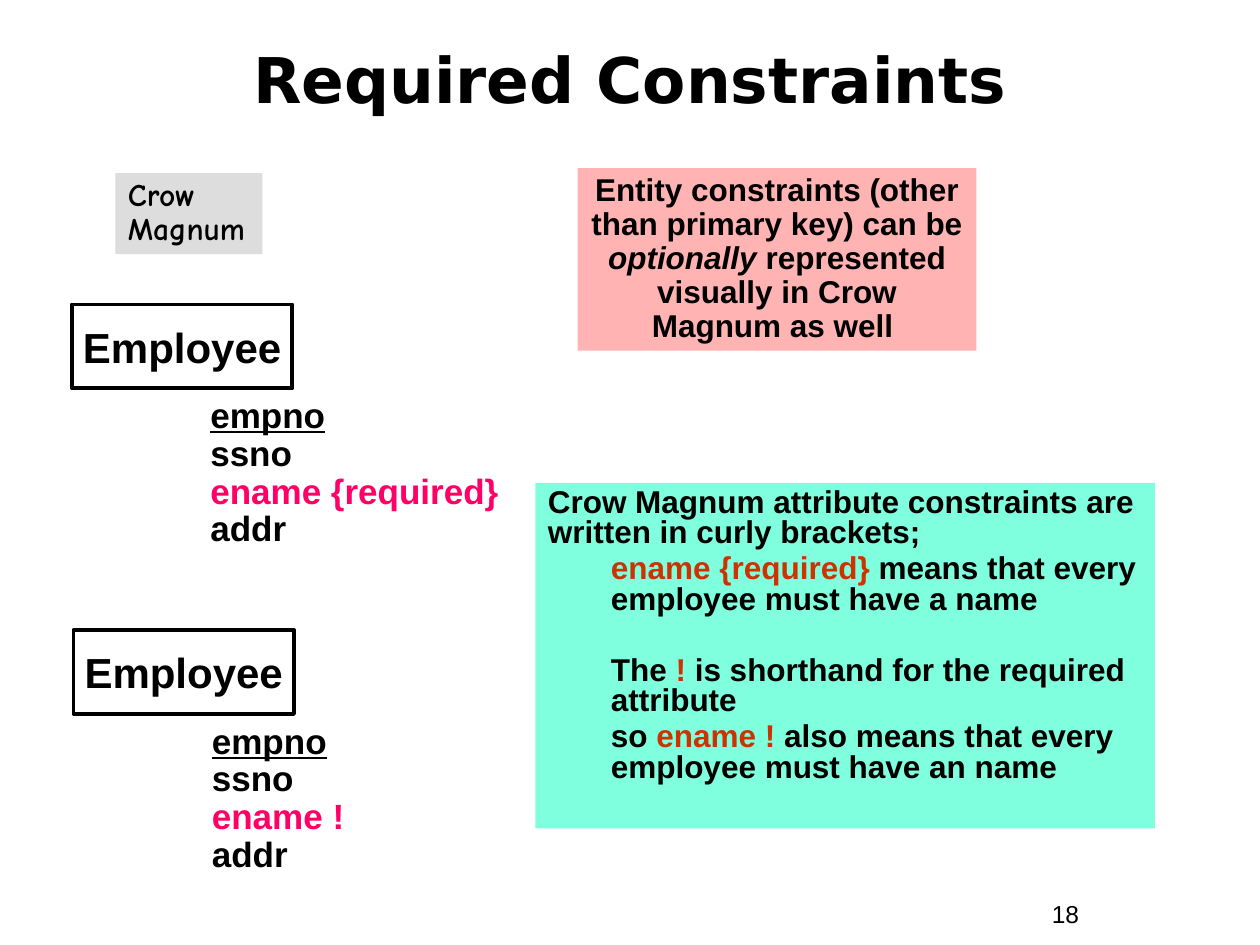
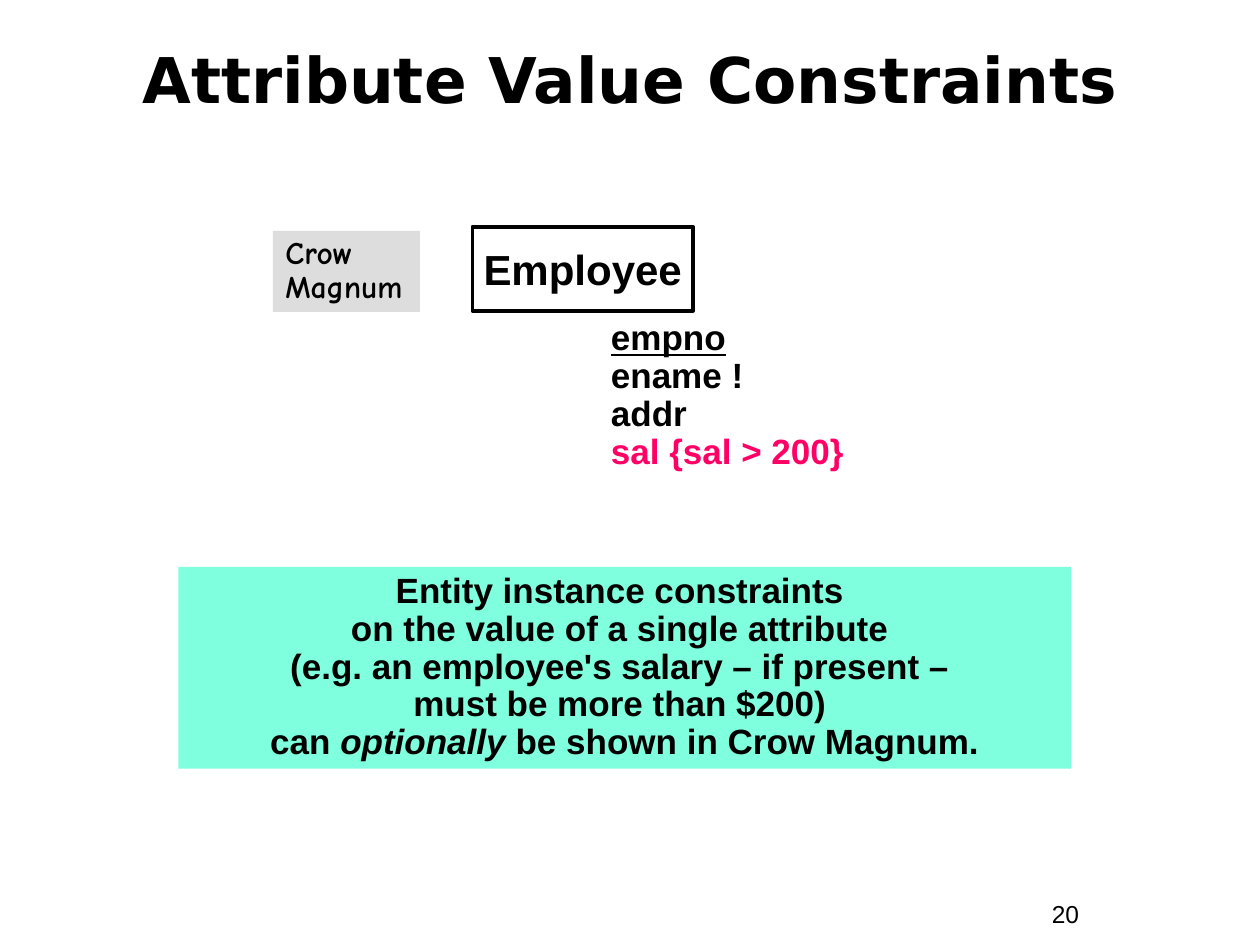
from dataclasses import dataclass
from pptx import Presentation
from pptx.dml.color import RGBColor
from pptx.enum.shapes import MSO_SHAPE
from pptx.enum.text import MSO_ANCHOR, MSO_AUTO_SIZE, PP_ALIGN
from pptx.util import Inches, Pt


@dataclass(frozen=True)
class Theme:
    ink: str = "000000"
    highlight: str = "FF0066"
    keyword: str = "CC3300"
    mint: str = "7FFFDD"
    pink: str = "FFB3B3"
    grey: str = "DDDDDD"
    title_font: str = "DejaVu Sans"
    body_font: str = "Arial"
    tag_font: str = "Comic Neue"
    title_size: int = 36
    entity_size: int = 24
    attribute_size: int = 20
    note_size: int = 18
    number_size: int = 14
    border: float = 2.25


THEME = Theme()
PAGE_WIDTH, PAGE_HEIGHT = Inches(10), Inches(7.5)
UNIT = PAGE_WIDTH / 120  # grid of 120 columns by 90 rows

# Run styles
KEY = {"underline": True}
HOT = {"color": THEME.highlight}
CODE = {"color": THEME.keyword}
ITALIC = {"italic": True}

# Content: a paragraph is a list of (text, style) runs; places are in grid units
TAG = [[("Crow\nMagnum", {})]]
PAGES = [
    {
        "title": "Required Constraints",
        "number": "18",
        "tag": (11, 16.5),
        "entities": [
            ((6.85, 29), 30, [("empno", KEY), ("ssno", {}), ("ename {required}", HOT), ("addr", {})]),
            ((7, 60), 18, [("empno", KEY), ("ssno", {}), ("ename !", HOT), ("addr", {})]),
        ],
        "notes": [
            {
                "area": (51, 46, 59, 32.9), "fill": THEME.mint, "size": THEME.note_size,
                "line_spacing": 0.8, "indent": 6, "gaps": [0, 3.4, 23.4, 3.4],
                "paragraphs": [
                    [("Crow Magnum attribute constraints are written in curly brackets;", {})],
                    [("ename {required}", CODE), (" means that every employee must have a name", {})],
                    [("The ", {}), ("!", CODE), (" is shorthand for the required attribute", {})],
                    [("so ", {}), ("ename !", CODE),
                     (" also means that every employee must have an name", {})],
                ],
            },
            {
                "area": (55, 16, 38, 17.4), "fill": THEME.pink, "size": THEME.note_size,
                "align": PP_ALIGN.CENTER,
                "paragraphs": [[
                    ("Entity constraints (other than primary key) can be ", {}),
                    ("optionally", ITALIC),
                    (" represented visually in Crow Magnum as well ", {}),
                ]],
            },
        ],
    },
    {
        "title": "Attribute Value Constraints",
        "number": "20",
        "tag": (26, 22),
        "entities": [
            ((45, 21.6), 27, [("empno", KEY), ("ename !", {}), ("addr", {}), ("sal {sal > 200}", HOT)]),
        ],
        "notes": [
            {
                "area": (17, 54, 85, 19.2), "fill": THEME.mint, "size": THEME.attribute_size,
                "align": PP_ALIGN.CENTER,
                "paragraphs": [[
                    ("Entity instance constraints \non the value of a single attribute \n"
                     "(e.g. an employee's salary – if present – \nmust be more than $200) \ncan ", {}),
                    ("optionally", ITALIC),
                    (" be shown in Crow Magnum.", {}),
                ]],
            },
        ],
    },
]


def grid(*lengths):
    return [round(length * UNIT) for length in lengths]


def add_span(para, text, size, font, bold, color=THEME.ink, underline=None, italic=None):
    for index, line in enumerate(text.split("\n")):
        if index:
            para.add_line_break()
        span = para.add_run()
        span.text = line
        span.font.name, span.font.size, span.font.bold = font, Pt(size), bold
        span.font.underline, span.font.italic = underline, italic
        span.font.color.rgb = RGBColor.from_string(color)


def write(box, paragraphs, size, font=THEME.body_font, bold=True, align=PP_ALIGN.LEFT,
          line_spacing=0.9, gaps=None, indent=0, anchor=MSO_ANCHOR.TOP, wrap=True):
    frame = box.text_frame
    frame.word_wrap, frame.auto_size = wrap, MSO_AUTO_SIZE.NONE
    frame.vertical_anchor = anchor
    for index, spans in enumerate(paragraphs):
        para = frame.add_paragraph() if index else frame.paragraphs[0]
        para.alignment, para.line_spacing = align, line_spacing
        para.space_before = Pt(gaps[index] if gaps else 0)
        if index and indent:
            properties = para._p.get_or_add_pPr()
            properties.set("marL", str(grid(indent)[0]))
            properties.set("indent", "0")
        for text, style in spans:
            add_span(para, text, size, font, bold, **style)


def add_panel(page, area, fill=None, border=None):
    panel = page.shapes.add_shape(MSO_SHAPE.RECTANGLE, *grid(*area))
    panel.shadow.inherit = False
    if fill:
        panel.fill.solid()
        panel.fill.fore_color.rgb = RGBColor.from_string(fill)
    else:
        panel.fill.background()
    if border:
        panel.line.color.rgb = RGBColor.from_string(THEME.ink)
        panel.line.width = Pt(border)
    else:
        panel.line.fill.background()
    return panel


def add_entity(page, corner, list_width, attributes):
    """Draw an entity box with its attribute list stepped below and to the right."""
    left, top = corner
    entity = add_panel(page, (left, top, 21, 8), border=THEME.border)
    write(entity, [[("Employee", {})]], THEME.entity_size, align=PP_ALIGN.CENTER,
          line_spacing=1, anchor=MSO_ANCHOR.MIDDLE, wrap=False)
    listing = page.shapes.add_textbox(*grid(left + 12, top + 8.35, list_width, 15.6))
    write(listing, [[attribute] for attribute in attributes], THEME.attribute_size)


def add_page(deck, content):
    page = deck.slides.add_slide(deck.slide_layouts[5])

    # Title and page number
    title = page.shapes.title
    title.left, title.top, title.width, title.height = grid(4, 2, 112, 11)
    write(title, [[(content["title"], {})]], THEME.title_size, THEME.title_font,
          align=PP_ALIGN.CENTER, line_spacing=1, anchor=MSO_ANCHOR.MIDDLE)
    number = page.shapes.add_textbox(*grid(99, 85, 11, 4))
    write(number, [[(content["number"], {})]], THEME.number_size, bold=False, line_spacing=1)

    # Entities with their attributes
    for corner, list_width, attributes in content["entities"]:
        add_entity(page, corner, list_width, attributes)

    # Explanations
    for note in content["notes"]:
        options = {key: value for key, value in note.items() if key not in ("area", "fill")}
        write(add_panel(page, note["area"], note["fill"]), **options)

    # Notation tag
    tag = add_panel(page, (*content["tag"], 14, 7.7), THEME.grey)
    write(tag, TAG, THEME.note_size, THEME.tag_font)


def main():
    deck = Presentation()
    deck.slide_width, deck.slide_height = PAGE_WIDTH, PAGE_HEIGHT
    for content in PAGES:
        add_page(deck, content)
    deck.save("out.pptx")


if __name__ == "__main__":
    main()
